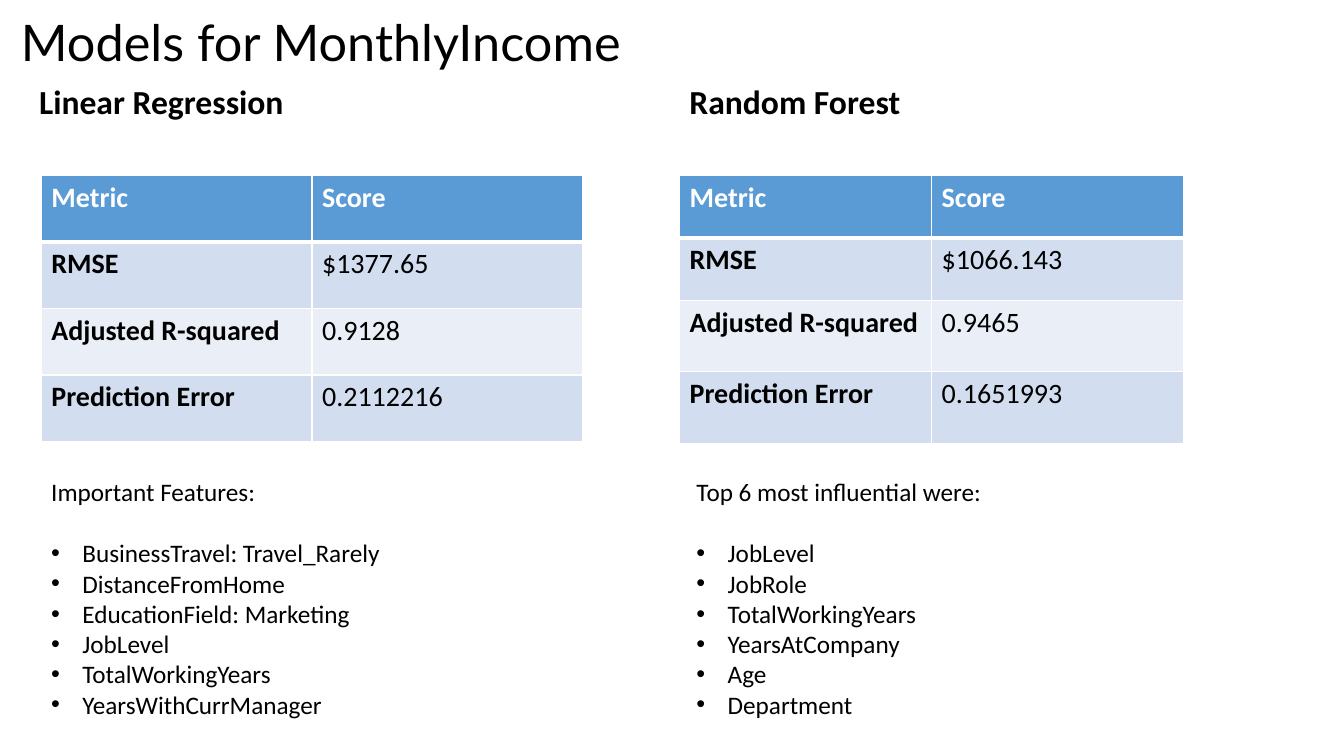
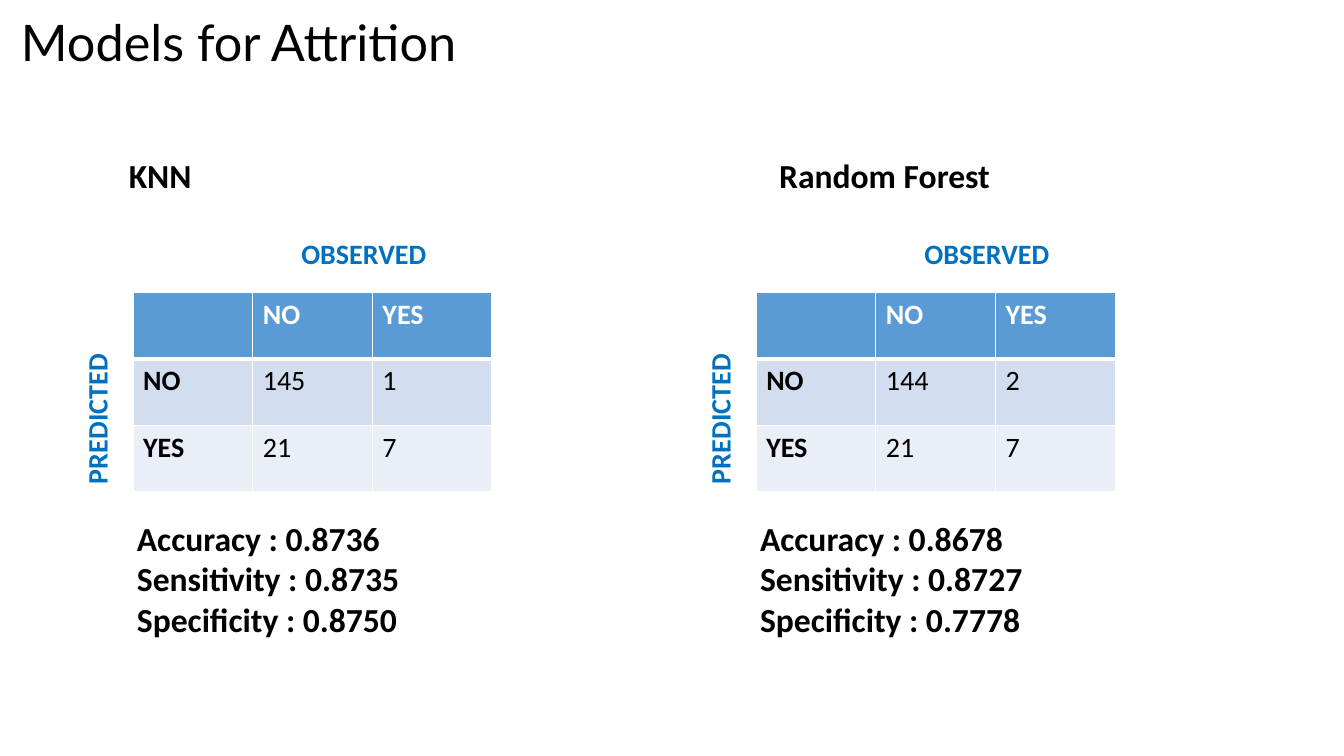
from pptx import Presentation
from pptx.dml.color import RGBColor
from pptx.enum.text import MSO_ANCHOR as Anchor
from pptx.oxml import parse_xml
from pptx.oxml.ns import nsdecls
from pptx.util import Inches, Pt

BLACK = RGBColor(0x00, 0x00, 0x00)
WHITE = RGBColor(0xFF, 0xFF, 0xFF)
HEADER_BLUE = RGBColor(0x5B, 0x9B, 0xD5)
BANDS = (RGBColor(0xD2, 0xDE, 0xEF), RGBColor(0xEA, 0xEF, 0xF7))
AXIS_BLUE = RGBColor(0x00, 0x70, 0xC0)
TITLE_FONT, BODY_FONT = "Lato", "Calibri"


def style(paragraph, size, color=BLACK, bold=False, name=BODY_FONT):
    font = paragraph.font
    font.name, font.size, font.bold = name, Pt(size), bold
    font.color.rgb = color


def add_text(slide, box, lines, size, **look):
    """Place a wrapped text box with one paragraph per line."""
    label = slide.shapes.add_textbox(*(Inches(length) for length in box))
    frame = label.text_frame
    frame.word_wrap = True
    frame.text = "\n".join(lines)
    for paragraph in frame.paragraphs:
        style(paragraph, size, **look)
    return label


def add_title(slide, text):
    frame = add_text(slide, (0.11, 0.08, 8.76, 0.73), [text], 36,
                     name=TITLE_FONT).text_frame
    frame.vertical_anchor = Anchor.MIDDLE
    frame.paragraphs[0].line_spacing = 0.9


def add_heading(slide, left, top, text):
    add_text(slide, (left, top, 3.77, 0.5), [text], 24, bold=True)


def add_bullet(paragraph):
    properties = paragraph._p.get_or_add_pPr()
    properties.set("marL", str(Inches(0.31)))
    properties.set("indent", str(-Inches(0.31)))
    marks = (f'<a:buFont {nsdecls("a")} typeface="Arial"/>',
             f'<a:buChar {nsdecls("a")} char="•"/>')
    # Bullet marks come before the default run properties
    for position, mark in enumerate(marks):
        properties.insert(position, parse_xml(mark))


def add_borders(cell, widths):
    properties = cell._tc.get_or_add_tcPr()
    for position, (side, width) in enumerate(widths.items()):
        properties.insert(position, parse_xml(
            f'<a:{side} {nsdecls("a")} w="{Pt(width)}"><a:solidFill>'
            f'<a:srgbClr val="{WHITE}"/></a:solidFill></a:{side}>'))


def add_banded_table(slide, left, top, width, heights, rows):
    """Blue header row, banded body, bold first column."""
    table = slide.shapes.add_table(
        len(rows), len(rows[0]), Inches(left), Inches(top),
        Inches(width), Inches(sum(heights))).table
    for row, height in zip(table.rows, heights):
        row.height = Inches(height)
    for r, values in enumerate(rows):
        for c, value in enumerate(values):
            cell = table.cell(r, c)
            cell.text = value
            cell.fill.solid()
            cell.fill.fore_color.rgb = BANDS[(r - 1) % 2] if r else HEADER_BLUE
            style(cell.text_frame.paragraphs[0], 20,
                  color=BLACK if r else WHITE, bold=r == 0 or c == 0)
            add_borders(cell, {"lnL": 1, "lnR": 1,
                               "lnT": 3 if r == 1 else 1,
                               "lnB": 1 if r else 3})


def add_regression_model(slide, left, width, heights, heading, scores, features):
    """Score table with a feature list; left and width belong to the table."""
    heading_left, name = heading
    add_heading(slide, heading_left, 0.75, name)
    metrics = ("RMSE", "Adjusted R-squared", "Prediction Error")
    add_banded_table(slide, left, 1.74, width, heights,
                     [("Metric", "Score"), *zip(metrics, scores)])
    list_left, lines = features
    intro, *bullets = add_text(slide, (list_left, 4.68, width, 2.52),
                               lines, 18).text_frame.paragraphs
    intro.space_after = Pt(22)
    for bullet in bullets:
        add_bullet(bullet)


def add_classifier(slide, left, heading, counts, scores):
    """Confusion matrix with axis labels and scores, from the matrix's left."""
    top = 2.9
    heading_left, name = heading
    add_heading(slide, heading_left, 1.49, name)
    add_text(slide, (left + 1.57, top - 0.6, 1.8, 0.44), ["OBSERVED"], 20,
             color=AXIS_BLUE, bold=True)
    predicted = add_text(slide, (left - 1.26, top + 0.88, 1.8, 0.44),
                         ["PREDICTED"], 20, color=AXIS_BLUE, bold=True)
    predicted.rotation = 270
    answers = ("NO", "YES")
    body = [(answer, *row) for answer, row in zip(answers, counts)]
    add_banded_table(slide, left, top, 3.56, [0.66] * 3,
                     [("", *answers), *body])
    measures = ("Accuracy", "Sensitivity", "Specificity")
    add_text(slide, (left - 0.06, top + 2.19, 4.14, 1.31),
             [f"{measure} : {score}" for measure, score in zip(measures, scores)],
             24, bold=True)


def build_income_slide(slide):
    add_title(slide, "Models for MonthlyIncome")
    add_regression_model(
        slide, 0.41, 5.37, [0.66] * 4, (0.29, "Linear Regression"),
        ("$1377.65", "0.9128", "0.2112216"),
        (0.41, ["Important Features:", "BusinessTravel: Travel_Rarely",
                "DistanceFromHome", "EducationField: Marketing", "JobLevel",
                "TotalWorkingYears", "YearsWithCurrManager"]))
    add_regression_model(
        slide, 6.74, 5, [0.62, 0.62, 0.71, 0.71], (6.74, "Random Forest"),
        ("$1066.143", "0.9465", "0.1651993"),
        (6.81, ["Top 6 most influential were:", "JobLevel", "JobRole",
                "TotalWorkingYears", "YearsAtCompany", "Age", "Department"]))


def build_attrition_slide(slide):
    add_title(slide, "Models for Attrition")
    add_classifier(slide, 1.32, (1.18, "KNN"), [("145", "1"), ("21", "7")],
                   ("0.8736", "0.8735", "0.8750"))
    add_classifier(slide, 7.5, (7.63, "Random Forest"),
                   [("144", "2"), ("21", "7")],
                   ("0.8678", "0.8727", "0.7778"))


def main():
    deck = Presentation()
    deck.slide_width, deck.slide_height = Inches(13.33), Inches(7.5)
    blank = deck.slide_layouts[6]
    for build in (build_income_slide, build_attrition_slide):
        build(deck.slides.add_slide(blank))
    deck.save("out.pptx")


if __name__ == "__main__":
    main()
